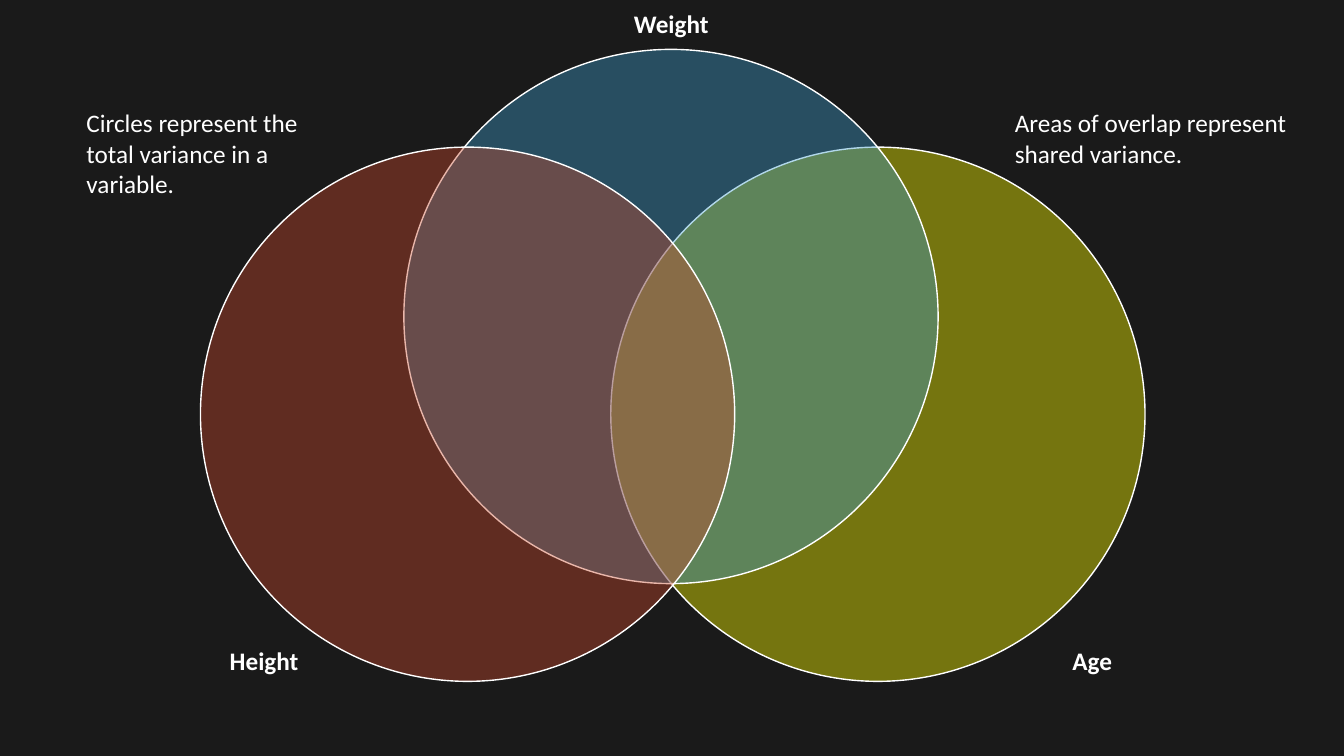
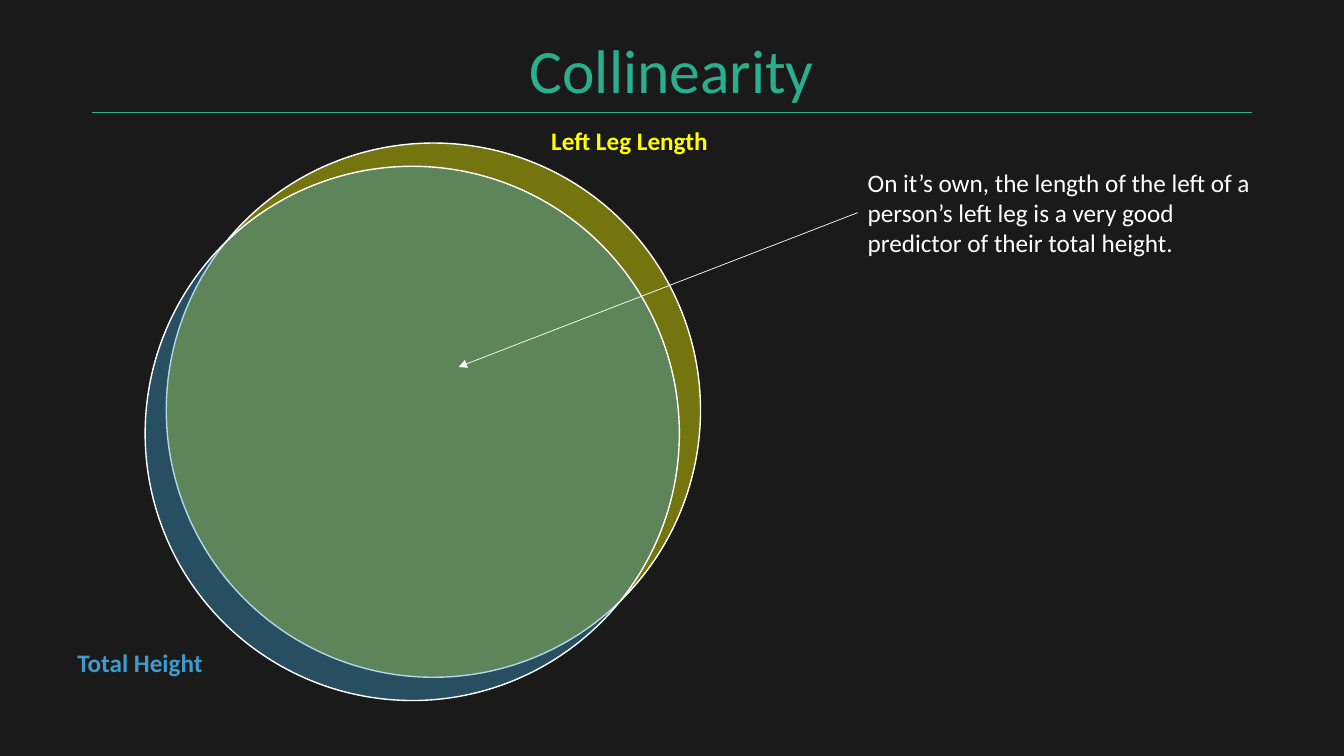
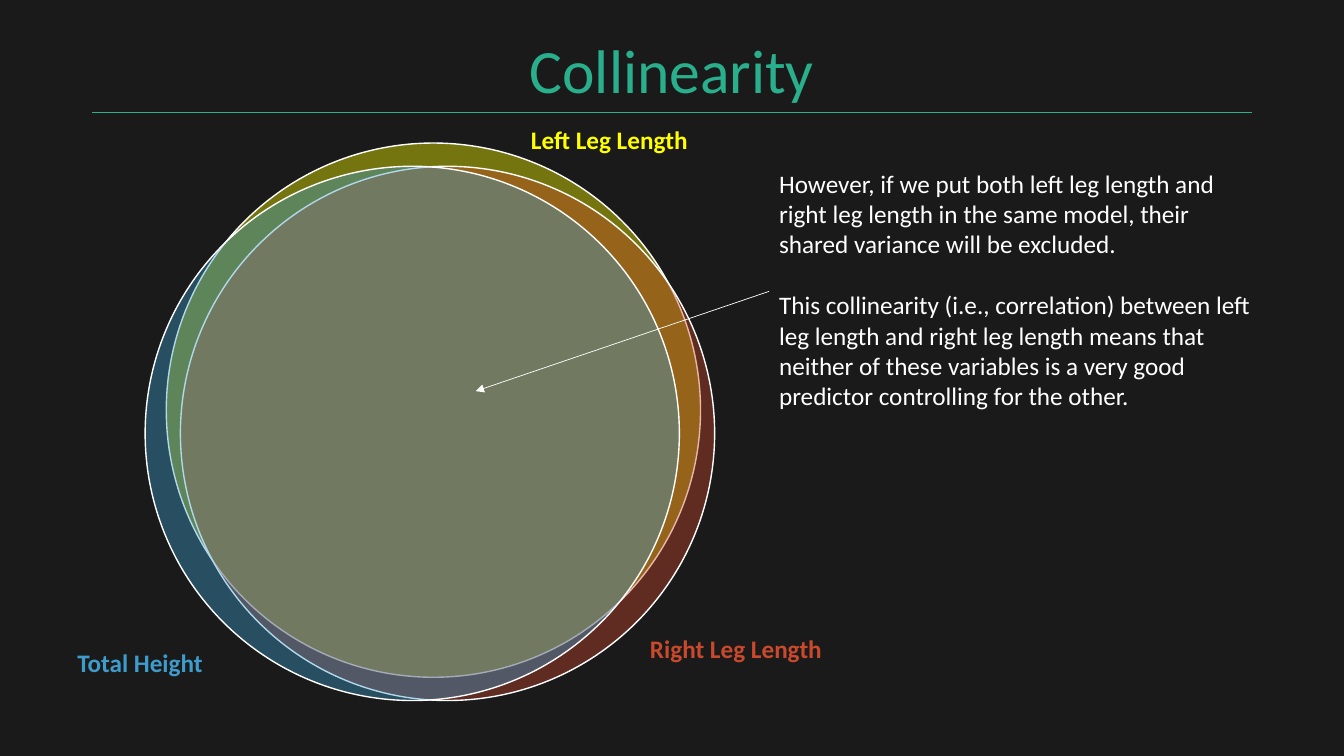
"""Venn diagrams that explain shared variance and collinearity."""
from dataclasses import dataclass

from lxml import etree
from pptx import Presentation
from pptx import util as u
from pptx.dml.color import RGBColor
from pptx.enum import shapes, text
from pptx.oxml.ns import qn


@dataclass(frozen=True)
class Theme:
    """Colours, font and sizes in points."""
    back: str = "1A1A1A"
    white: str = "FFFFFF"
    green: str = "29AF8C"
    yellow: str = "FFFF00"
    blue: str = "3D9CCC"
    red: str = "C9492C"
    font: str = "Calibri"
    head: float = 44
    body: float = 18
    line: float = 22
    disc: float = 381.6
    thin: float = 0.5
    alpha: int = 40


class Deck:
    """Holds the theme and the current slide, and draws on it."""

    def __init__(self, theme):
        """Start an empty wide deck on a dark ground."""
        self.theme = theme
        self.file = Presentation()
        self.file.slide_width, self.file.slide_height = u.Pt(960), u.Pt(540)
        fill = self.file.slide_master.background.fill
        fill.solid()
        fill.fore_color.rgb = RGBColor.from_string(theme.back)

    def blank(self):
        """Add a slide without a title."""
        self.slide = self.file.slides.add_slide(self.file.slide_layouts[6])

    def titled(self, words):
        """Add a slide with a centred title above a rule."""
        self.slide = self.file.slides.add_slide(self.file.slide_layouts[5])
        title = self.slide.shapes.title
        title.left, title.top = u.Pt(345.4), u.Pt(19.4)
        title.width, title.height = u.Pt(269.3), u.Pt(60.5)
        frame = title.text_frame
        frame.auto_size = text.MSO_AUTO_SIZE.NONE
        frame.vertical_anchor = text.MSO_ANCHOR.TOP
        frame.text = words
        self.style(frame.paragraphs[0], self.theme.head, self.theme.green)
        frame.paragraphs[0].alignment = text.PP_ALIGN.CENTER
        self.line((66, 80), (894, 80), self.theme.green)

    def style(self, para, size, color, bold=False):
        """Set the font of one paragraph."""
        font = para.font
        font.name, font.size, font.bold = self.theme.font, u.Pt(size), bold
        font.color.rgb = RGBColor.from_string(color)

    def disc(self, left, top, color):
        """Draw one clear circle with a white edge."""
        size = u.Pt(self.theme.disc)
        disc = self.slide.shapes.add_shape(
            shapes.MSO_SHAPE.OVAL, u.Pt(left), u.Pt(top), size, size)
        disc.shadow.inherit = False
        disc.fill.solid()
        disc.fill.fore_color.rgb = RGBColor.from_string(color)
        tint = disc.element.spPr.find(qn("a:solidFill")).find(qn("a:srgbClr"))
        etree.SubElement(tint, qn("a:alpha"), val=str(self.theme.alpha * 1000))
        disc.line.width = u.Pt(1)
        disc.line.color.rgb = RGBColor.from_string(self.theme.white)

    def words(self, box, lines, color, bold=False, wrap=True):
        """Write paragraphs in a box, one blank line's height apart."""
        frame = self.slide.shapes.add_textbox(*map(u.Pt, box)).text_frame
        frame.word_wrap = wrap
        frame.auto_size = text.MSO_AUTO_SIZE.SHAPE_TO_FIT_TEXT
        frame.text = "\n".join(lines)
        for spot, para in enumerate(frame.paragraphs):
            self.style(para, self.theme.body, color, bold)
            if spot:
                para.space_before = u.Pt(self.theme.line)

    def note(self, left, top, width, height, *lines):
        """Write plain text that wraps."""
        self.words((left, top, width, height), lines, self.theme.white)

    def label(self, left, top, width, name, color):
        """Write a bold name on one line."""
        self.words((left, top, width, 29), [name], color, True, False)

    def line(self, start, end, color, arrow=False):
        """Draw a thin line, with an arrowhead at its end if asked."""
        line = self.slide.shapes.add_connector(
            shapes.MSO_CONNECTOR.STRAIGHT, *map(u.Pt, (*start, *end)))
        line.line.width = u.Pt(self.theme.thin)
        line.line.color.rgb = RGBColor.from_string(color)
        props = line.element.spPr
        if arrow:
            etree.SubElement(props.find(qn("a:ln")), qn("a:tailEnd"),
                             type="triangle")
        etree.SubElement(props, qn("a:effectLst"))


theme = Theme()
deck = Deck(theme)

deck.blank()
deck.disc(436.3, 105.1, theme.yellow)
deck.note(54.7, 73.4, 187.2, 72.7,
          "Circles represent the total variance in a variable.")
deck.note(717.8, 73.4, 215.3, 51.1,
          "Areas of overlap represent shared variance.")
deck.disc(288.5, 35.3, theme.blue)
for left, top, width, name in ((445.7, 2.2, 68.4, "Weight"),
                               (157, 457.2, 64.1, "Height"),
                               (758.9, 457.2, 43.2, "Age")):
    deck.label(left, top, width, name, theme.white)
deck.disc(143.2, 105.1, theme.red)

LEFT = (118.8, 102.2, theme.yellow)
TOTAL = (103.7, 118.8, theme.blue)
RIGHT = (128.9, 118.8, theme.red)
HEIGHT = (48.2, 458.6, 105.1, "Total Height", theme.blue)

deck.titled("Collinearity")
deck.disc(*LEFT)
deck.label(386.6, 85.7, 128.2, "Left Leg Length", theme.yellow)
deck.label(*HEIGHT)
deck.disc(*TOTAL)
deck.note(612.7, 115.9, 290.2, 72.7,
          "On it’s own, the length of the left of a person’s left leg is a "
          "very good predictor of their total height.")
deck.line((612.7, 151.9), (327.6, 262.1), theme.white, True)

deck.titled("Collinearity")
deck.disc(*LEFT)
deck.disc(*RIGHT)
deck.label(372.2, 85, 128.2, "Left Leg Length", theme.yellow)
deck.label(*HEIGHT)
deck.label(457.2, 448.6, 138.2, "Right Leg Length", theme.red)
deck.disc(*TOTAL)
deck.note(549.4, 116.6, 358.6, 181.4,
          "However, if we put both left leg length and right leg length in "
          "the same model, their shared variance will be excluded.",
          "This collinearity (i.e., correlation) between left leg length and "
          "right leg length means that neither of these variables is a very "
          "good predictor controlling for the other.")
deck.line((549.4, 208.1), (339.8, 279.4), theme.white, True)

deck.file.save("out.pptx")
